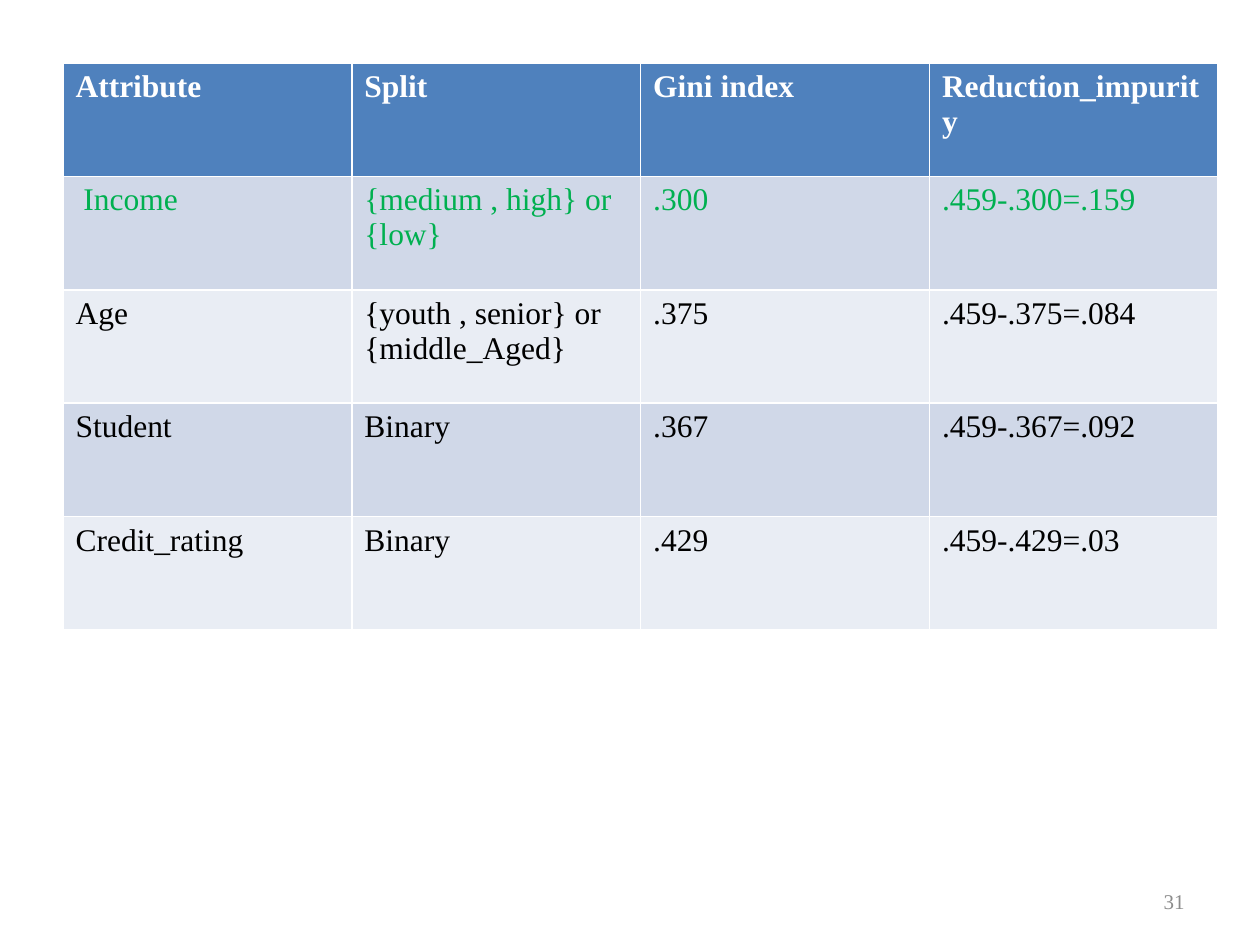
from pptx import Presentation
from pptx.dml.color import RGBColor
from pptx.enum.text import MSO_ANCHOR, PP_ALIGN
from pptx.util import Inches, Pt

WHITE = RGBColor(0xFF, 0xFF, 0xFF)
BLACK = RGBColor(0x00, 0x00, 0x00)
GREEN = RGBColor(0x00, 0xB0, 0x50)
GREY = RGBColor(0x8C, 0x8C, 0x8C)
HEADER_BLUE = RGBColor(0x4F, 0x81, 0xBD)
BANDS = (RGBColor(0xD0, 0xD8, 0xE8), RGBColor(0xE9, 0xED, 0xF4))

BEST_ROW = 1  # the split with the largest reduction in impurity
ROWS = [
    ("Attribute", "Split", "Gini index", "Reduction_impurity"),
    (" Income", "{medium , high} or {low}", ".300", ".459-.300=.159"),
    ("Age", "{youth , senior} or {middle_Aged}", ".375", ".459-.375=.084"),
    ("Student", "Binary", ".367", ".459-.367=.092"),
    ("Credit_rating", "Binary", ".429", ".459-.429=.03"),
]


class SlideBuilder:
    font_name = "Times New Roman"

    def __init__(self, slide):
        self.slide = slide

    def set_text(self, tf, text, size, color, bold=False, align=PP_ALIGN.LEFT):
        p = tf.paragraphs[0]
        p.text = text
        p.alignment = align
        p.font.name = self.font_name
        p.font.size = Pt(size)
        p.font.bold = bold
        p.font.color.rgb = color

    def table(self, rows, left, top, width, height):
        """Add a table with a header row, banded rows and the best row in green.

        The default table style supplies the white borders.
        """
        table = self.slide.shapes.add_table(
            len(rows), len(rows[0]), Inches(left), Inches(top),
            Inches(width), Inches(height)).table
        for i, row in enumerate(rows):
            header = i == 0
            fill = HEADER_BLUE if header else BANDS[(i - 1) % 2]
            color = WHITE if header else GREEN if i == BEST_ROW else BLACK
            for j, text in enumerate(row):
                cell = table.cell(i, j)
                cell.fill.solid()
                cell.fill.fore_color.rgb = fill
                self.set_text(cell.text_frame, text, 18, color, bold=header)

    def slide_number(self, number, left, top, width, height):
        tf = self.slide.shapes.add_textbox(
            Inches(left), Inches(top), Inches(width), Inches(height)).text_frame
        tf.word_wrap = True
        tf.vertical_anchor = MSO_ANCHOR.MIDDLE
        self.set_text(tf, str(number), 12, GREY, align=PP_ALIGN.RIGHT)


def main():
    prs = Presentation()
    prs.slide_width, prs.slide_height = Inches(10), Inches(7.5)
    s = SlideBuilder(prs.slides.add_slide(prs.slide_layouts[6]))
    s.table(ROWS, 0.5, 0.5, 9.17, 4.5)
    s.slide_number(31, 7.17, 6.95, 2.33, 0.4)
    prs.save("out.pptx")


if __name__ == "__main__":
    main()
